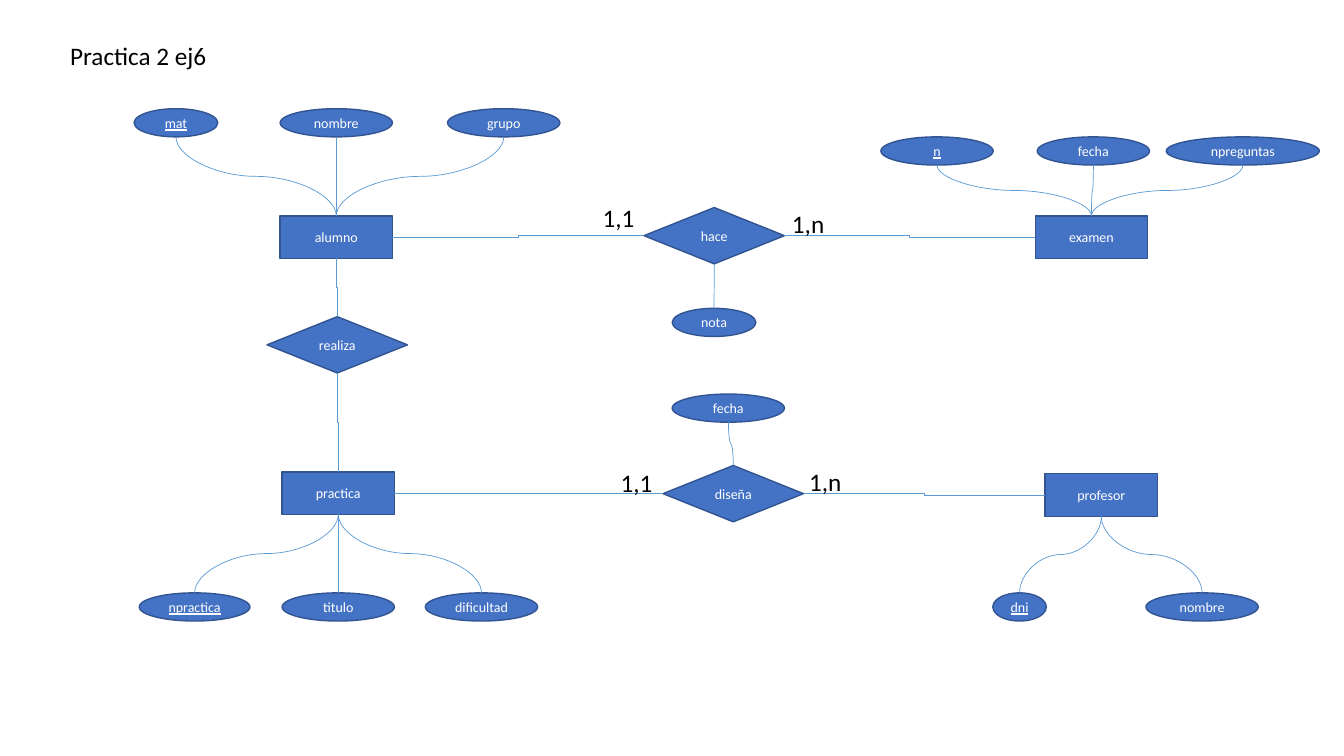
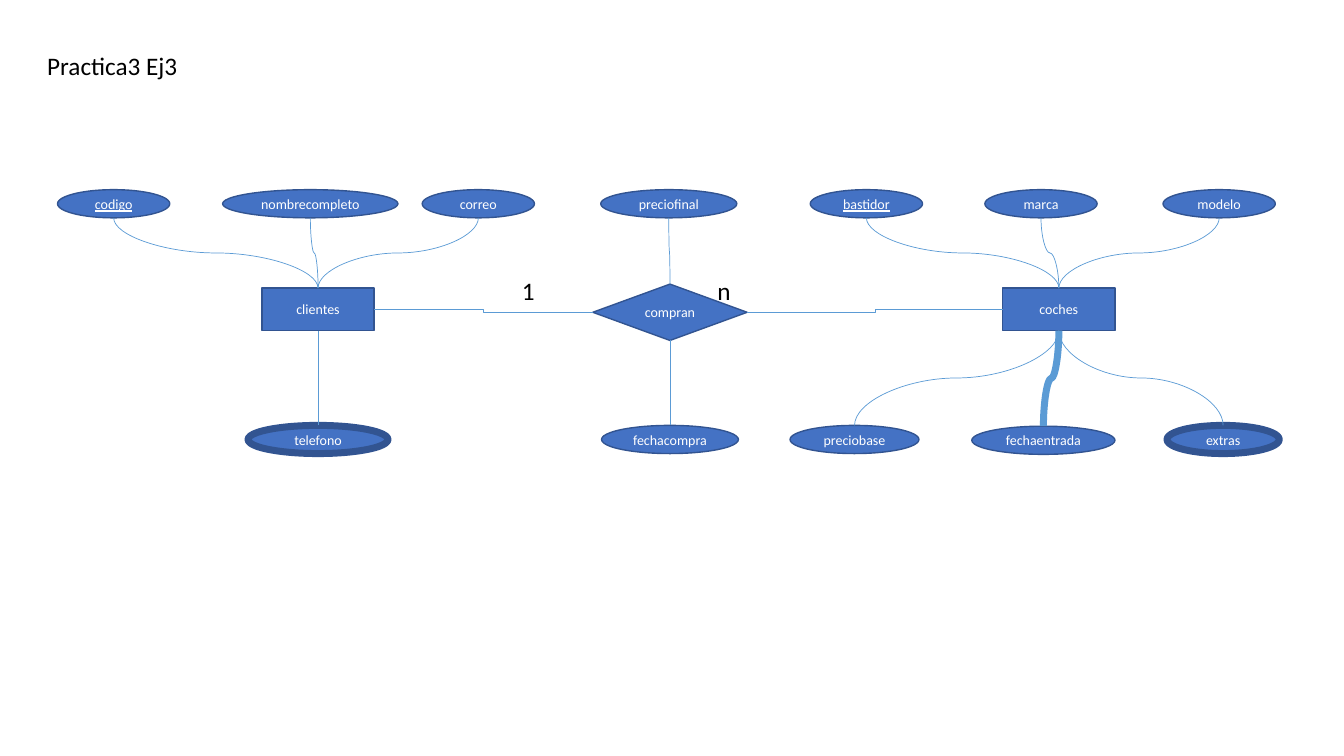
from dataclasses import dataclass

import lxml.etree
import pptx
import pptx.dml.color
import pptx.enum.shapes
import pptx.enum.text
import pptx.oxml.ns
import pptx.util
from pptx.util import Cm, Pt

SHAPE = pptx.enum.shapes.MSO_SHAPE
CONNECTOR = pptx.enum.shapes.MSO_CONNECTOR
TOP, LEFT, BOTTOM, RIGHT = range(4)


def rgb(code):
    return pptx.dml.color.RGBColor.from_string(code)


@dataclass(frozen=True)
class Theme:
    font: str = "Calibri"
    text = rgb("000000")
    node_text = rgb("FFFFFF")
    node_fill = rgb("4472C4")
    node_outline = rgb("325491")
    link = rgb("5B9BD5")
    label_size = Pt(18)
    node_size = Pt(10)
    outline_width = Pt(1)
    bold_width = Pt(5)
    link_width = Pt(0.5)


THEME = Theme()


def style_text(paragraph, text, size, color):
    paragraph.text = text
    paragraph.font.name = THEME.font
    paragraph.font.size = size
    paragraph.font.color.rgb = color


def add_label(slide, text, left, top, width=1.32):
    frame = slide.shapes.add_textbox(Cm(left), Cm(top), Cm(width), Cm(1.02)).text_frame
    frame.word_wrap = False
    frame.auto_size = pptx.enum.text.MSO_AUTO_SIZE.SHAPE_TO_FIT_TEXT
    style_text(frame.paragraphs[0], text, THEME.label_size, THEME.text)


def add_node(slide, outline, text, left, top, width, height):
    node = slide.shapes.add_shape(outline, Cm(left), Cm(top), Cm(width), Cm(height))
    node.shadow.inherit = False
    node.fill.solid()
    node.fill.fore_color.rgb = THEME.node_fill
    node.line.color.rgb = THEME.node_outline
    node.line.width = THEME.outline_width
    frame = node.text_frame
    frame.word_wrap = False
    frame.vertical_anchor = pptx.enum.text.MSO_ANCHOR.MIDDLE
    paragraph = frame.paragraphs[0]
    style_text(paragraph, text, THEME.node_size, THEME.node_text)
    paragraph.alignment = pptx.enum.text.PP_ALIGN.CENTER
    return node


def add_entity(slide, text, left, top):
    return add_node(slide, SHAPE.RECTANGLE, text, left, top, 2.83, 1.07)


def add_relation(slide, text, left, top, width=3.54):
    return add_node(slide, SHAPE.DIAMOND, text, left, top, width, 1.42)


def turn_downward(link):
    """Rotate a connector so that it leaves and arrives vertically."""
    run, drop = link.width, link.height
    goes_right = link.begin_x < link.end_x
    link.left, link.top = link.left + (run - drop) // 2, link.top + (drop - run) // 2
    link.width, link.height = drop, run
    link.rotation = 270 if goes_right else 90
    link._element.spPr.xfrm.set("flipH", "1" if goes_right else "0")


def add_link(slide, kind, start, start_side, end, end_side):
    link = slide.shapes.add_connector(kind, 0, 0, 0, 0)
    link.begin_connect(start, start_side)
    link.end_connect(end, end_side)
    for tag, node, side in (("a:stCxn", start, start_side), ("a:endCxn", end, end_side)):
        if node.auto_shape_type == SHAPE.OVAL:
            # Ellipses have eight connection sites, so each side counts twice.
            joint = next(link._element.iter(pptx.oxml.ns.qn(tag)))
            joint.set("idx", str(2 * side))
    if start_side == BOTTOM:
        turn_downward(link)
    link.line.color.rgb = THEME.link
    link.line.width = THEME.link_width
    lxml.etree.SubElement(link._element.spPr, pptx.oxml.ns.qn("a:effectLst"))
    return link


def link_across(slide, *nodes):
    for start, end in zip(nodes, nodes[1:]):
        add_link(slide, CONNECTOR.ELBOW, start, RIGHT, end, LEFT)


def link_down(slide, *nodes):
    for start, end in zip(nodes, nodes[1:]):
        add_link(slide, CONNECTOR.ELBOW, start, BOTTOM, end, TOP)


def add_attribute(slide, owner, text, left, top, width=2.83,
                  key=False, multivalued=False, bold_link=False):
    """Add an ellipse above or below its owner and join the two."""
    attribute = add_node(slide, SHAPE.OVAL, text, left, top, width, 0.71)
    if key:
        attribute.text_frame.paragraphs[0].font.underline = True
    if multivalued:
        attribute.line.width = THEME.bold_width
    upper, lower = sorted((owner, attribute), key=lambda node: node.top)
    link = add_link(slide, CONNECTOR.CURVE, upper, BOTTOM, lower, TOP)
    if bold_link:
        link.line.width = THEME.bold_width


def build_exams(slide):
    add_label(slide, "Practica 2 ej6", 1.52, 0.89, 3.99)
    alumno = add_entity(slide, "alumno", 7.06, 5.44)
    examen = add_entity(slide, "examen", 26.09, 5.44)
    practica = add_entity(slide, "practica", 7.11, 11.89)
    profesor = add_entity(slide, "profesor", 26.34, 11.94)
    hace = add_relation(slide, "hace", 16.23, 5.23)
    realiza = add_relation(slide, "realiza", 6.73, 7.98)
    disena = add_relation(slide, "diseña", 16.71, 11.73)
    link_across(slide, alumno, hace, examen)
    link_across(slide, practica, disena, profesor)
    link_down(slide, alumno, realiza, practica)

    student_row, exam_row, bottom_row = 2.74, 3.45, 14.94
    add_attribute(slide, alumno, "mat", 3.38, student_row, 2.11, key=True)
    add_attribute(slide, alumno, "nombre", 7.06, student_row)
    add_attribute(slide, alumno, "grupo", 11.28, student_row)
    add_attribute(slide, examen, "n", 22.2, exam_row, key=True)
    add_attribute(slide, examen, "fecha", 26.14, exam_row)
    add_attribute(slide, examen, "npreguntas", 29.39, exam_row, 3.86)
    add_attribute(slide, hace, "nota", 16.94, 7.77, 2.11)
    add_attribute(slide, disena, "fecha", 16.94, 9.93)
    add_attribute(slide, practica, "npractica", 3.51, bottom_row, 2.79, key=True)
    add_attribute(slide, practica, "titulo", 7.11, bottom_row)
    add_attribute(slide, practica, "dificultad", 10.72, bottom_row)
    add_attribute(slide, profesor, "dni", 25.02, bottom_row, 1.35, key=True)
    add_attribute(slide, profesor, "nombre", 28.88, bottom_row)

    add_label(slide, "1,1", 14.94, 4.98)
    add_label(slide, "1,n", 19.71, 5.13)
    add_label(slide, "1,1", 15.39, 11.66)
    add_label(slide, "1,n", 20.14, 11.63)


def build_car_sales(slide):
    add_label(slide, "Practica3 Ej3", 0.94, 1.14, 3.84)
    clientes = add_entity(slide, "clientes", 6.6, 7.26)
    coches = add_entity(slide, "coches", 25.27, 7.26)
    compran = add_relation(slide, "compran", 14.94, 7.16, 3.89)
    link_across(slide, clientes, compran, coches)

    top_row, bottom_row = 4.78, 10.72
    add_attribute(slide, clientes, "codigo", 1.45, top_row, key=True)
    add_attribute(slide, clientes, "nombrecompleto", 5.61, top_row, 4.42)
    add_attribute(slide, clientes, "correo", 10.64, top_row)
    add_attribute(slide, clientes, "telefono", 6.25, bottom_row, 3.53, multivalued=True)
    add_attribute(slide, compran, "preciofinal", 15.14, top_row, 3.43)
    add_attribute(slide, compran, "fechacompra", 15.16, bottom_row, 3.45)
    add_attribute(slide, coches, "bastidor", 20.42, top_row, key=True)
    add_attribute(slide, coches, "marca", 24.82, top_row)
    add_attribute(slide, coches, "modelo", 29.31, top_row)
    add_attribute(slide, coches, "preciobase", 19.91, bottom_row, 3.25)
    add_attribute(slide, coches, "extras", 29.41, bottom_row, multivalued=True)
    add_attribute(slide, coches, "fechaentrada", 24.49, 10.74, 3.61, bold_link=True)

    add_label(slide, "1", 12.9, 6.81, 0.84)
    add_label(slide, "n", 17.83, 6.81, 0.86)


def main():
    deck = pptx.Presentation()
    deck.slide_width, deck.slide_height = Cm(33.87), Cm(19.05)
    blank = deck.slide_layouts[6]
    for build in (build_exams, build_car_sales):
        build(deck.slides.add_slide(blank))
    deck.save("out.pptx")


if __name__ == "__main__":
    main()
